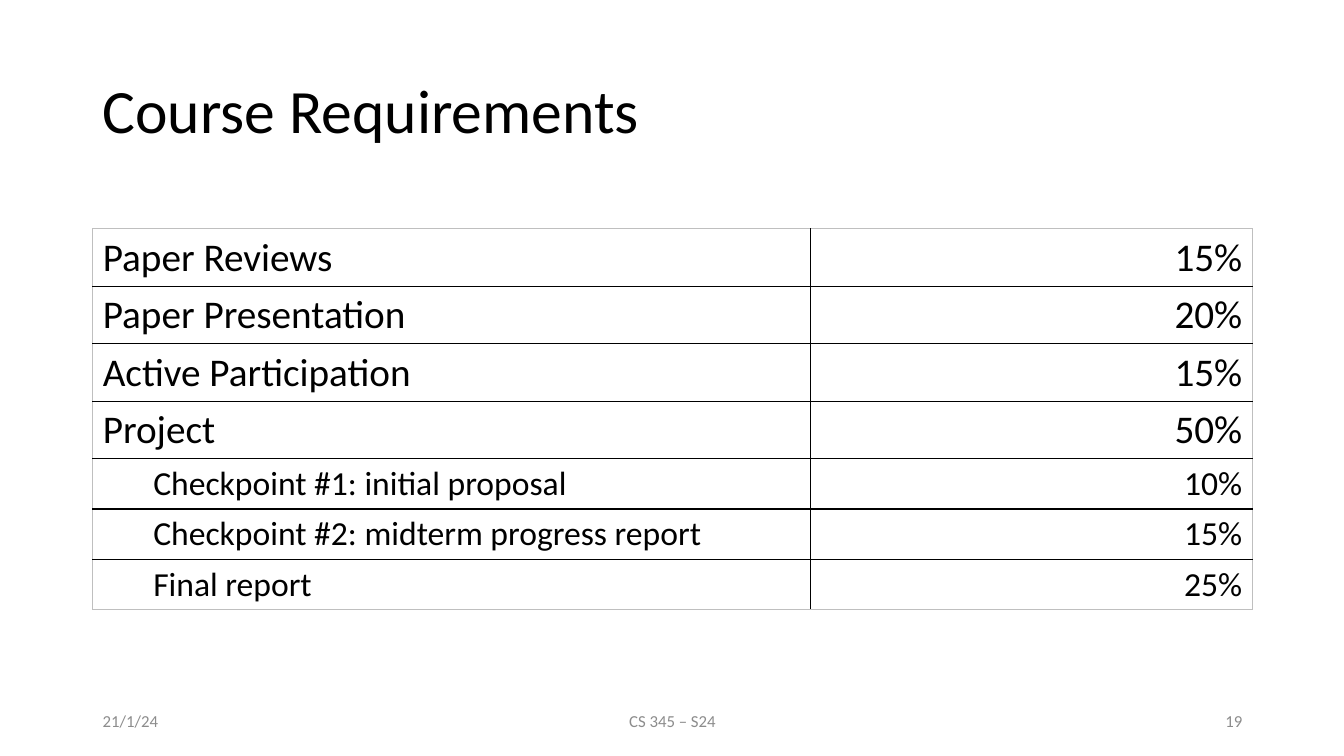
from lxml import etree
from pptx import Presentation
from pptx.dml.color import RGBColor
from pptx.enum.text import MSO_ANCHOR, PP_ALIGN
from pptx.oxml.ns import qn
from pptx.util import Inches, Pt

LEFT, CENTER, RIGHT = PP_ALIGN.LEFT, PP_ALIGN.CENTER, PP_ALIGN.RIGHT
MIDDLE = MSO_ANCHOR.MIDDLE
BLACK = RGBColor(0x00, 0x00, 0x00)
FOOTER_GRAY = RGBColor(0x8C, 0x8C, 0x8C)
FRAME_GRAY = RGBColor(0xBF, 0xBF, 0xBF)
FONT = "Calibri"

SLIDE_W, SLIDE_H = 13.33, 7.5
MARGIN = 0.92
CONTENT_W = 11.5
LABEL_SHARE = 0.619
SUBITEM_INDENT = 0.5

# Label, weight, level
REQUIREMENTS = [
    ("Paper Reviews", "15%", 0),
    ("Paper Presentation", "20%", 0),
    ("Active Participation", "15%", 0),
    ("Project", "50%", 0),
    ("Checkpoint #1: initial proposal", "10%", 1),
    ("Checkpoint #2: midterm progress report", "15%", 1),
    ("Final report", "25%", 1),
]
LEVEL_SIZES = (28, 24)
LEVEL_HEIGHTS = (0.57, 0.5)


def style_paragraph(paragraph, size, color, align):
    paragraph.alignment = align
    paragraph.font.name = FONT
    paragraph.font.size = Pt(size)
    paragraph.font.color.rgb = color


def add_text(slide, box, text, size, color, align=LEFT):
    frame = slide.shapes.add_textbox(*map(Inches, box)).text_frame
    frame.word_wrap = True
    frame.vertical_anchor = MIDDLE
    paragraph = frame.paragraphs[0]
    paragraph.text = text
    style_paragraph(paragraph, size, color, align)
    return paragraph


def add_border(cell, side, color):
    line = etree.SubElement(cell._tc.get_or_add_tcPr(), qn(f"a:ln{side}"), w=str(Pt(1)))
    fill = etree.SubElement(line, qn("a:solidFill"))
    etree.SubElement(fill, qn("a:srgbClr"), val=str(color))


def add_title(slide, box):
    add_text(slide, box, "Course Requirements", 44, BLACK).line_spacing = 0.9


def add_requirements(slide, box):
    left, top, width = box
    height = sum(LEVEL_HEIGHTS[level] for _, _, level in REQUIREMENTS)
    last_row = len(REQUIREMENTS) - 1
    table = slide.shapes.add_table(
        len(REQUIREMENTS), 2, *map(Inches, (left, top, width, height))).table
    table.first_row = table.horz_banding = False
    table.columns[0].width = Inches(width * LABEL_SHARE)
    table.columns[1].width = Inches(width * (1 - LABEL_SHARE))

    for row, (label, weight, level) in enumerate(REQUIREMENTS):
        table.rows[row].height = Inches(LEVEL_HEIGHTS[level])
        for column, (text, align) in enumerate(((label, LEFT), (weight, RIGHT))):
            cell = table.cell(row, column)
            cell.text = text
            paragraph = cell.text_frame.paragraphs[0]
            style_paragraph(paragraph, LEVEL_SIZES[level], BLACK, align)
            if level and column == 0:
                paragraph.level = level
                properties = paragraph._p.get_or_add_pPr()
                properties.set("marL", str(Inches(SUBITEM_INDENT)))
                properties.set("indent", "0")
            # Gray outer frame, black inner rules
            outer_sides = {"L": column == 0, "R": column == 1,
                           "T": row == 0, "B": row == last_row}
            for side, is_outer in outer_sides.items():
                add_border(cell, side, FRAME_GRAY if is_outer else BLACK)
            cell.fill.background()


def add_footer(slide, box):
    left, top, width, height = box
    side_w, middle_w = 3, 4.5
    parts = [
        ("21/1/24", left, side_w, LEFT),
        ("CS 345 – S24", left + (width - middle_w) / 2, middle_w, CENTER),
        ("19", left + width - side_w, side_w, RIGHT),
    ]
    for text, part_left, part_w, align in parts:
        add_text(slide, (part_left, top, part_w, height), text, 12, FOOTER_GRAY, align)


def main():
    deck = Presentation()
    deck.slide_width, deck.slide_height = Inches(SLIDE_W), Inches(SLIDE_H)
    slide = deck.slides.add_slide(deck.slide_layouts[6])
    add_title(slide, (MARGIN, 0.4, CONTENT_W, 1.45))
    add_requirements(slide, (MARGIN, 2.27, CONTENT_W))
    add_footer(slide, (MARGIN, 6.95, CONTENT_W, 0.4))
    deck.save("out.pptx")


if __name__ == "__main__":
    main()
